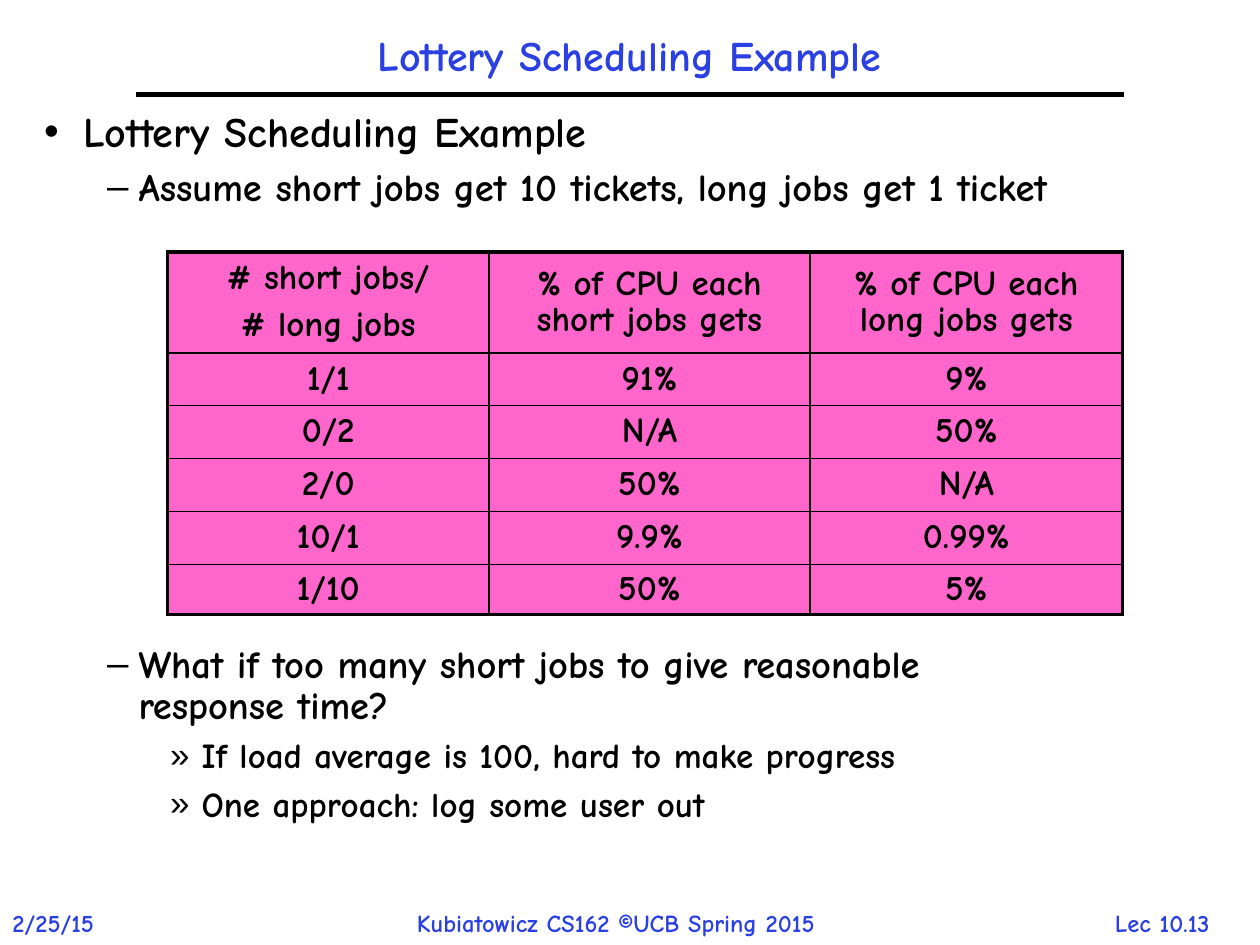
from copy import deepcopy

from pptx import Presentation
from pptx.dml.color import RGBColor
from pptx.enum import shapes, text
from pptx.oxml.ns import qn
from pptx.oxml.xmlchemy import OxmlElement
from pptx.util import Inches, Pt

FONT = "Comic Neue"
BLUE = RGBColor(0x2A, 0x40, 0xE2)
BLACK = RGBColor(0, 0, 0)
PINK = RGBColor(0xFF, 0x66, 0xCC)
CENTER = text.PP_ALIGN.CENTER


def add_run(paragraph, words, size, color=BLACK):
    run = paragraph.add_run()
    run.text = words
    run.font.name = FONT
    run.font.size = Pt(size)
    run.font.bold = True
    run.font.color.rgb = color
    return run


def set_border(cell, side, width):
    line = OxmlElement(f"a:{side}")
    line.set("w", str(Pt(width)))
    fill = OxmlElement("a:solidFill")
    color = OxmlElement("a:srgbClr")
    color.set("val", str(BLACK))
    fill.append(color)
    line.append(fill)
    cell._tc.get_or_add_tcPr().append(line)


presentation = Presentation()
presentation.slide_width = Inches(10)
presentation.slide_height = Inches(7.5)
slide = presentation.slides.add_slide(presentation.slide_layouts[1])

# Footer
footers = [
    (8.56, 1.33, "Lec 10.13", CENTER),
    (0, 1, "2/25/15", text.PP_ALIGN.LEFT),
    (3.21, 3.87, "Kubiatowicz CS162 ©UCB Spring 2015", text.PP_ALIGN.LEFT),
]
for left, width, words, alignment in footers:
    box = slide.shapes.add_textbox(Inches(left), Inches(7.16), Inches(width), Inches(0.34))
    box.text_frame.word_wrap = False
    box.text_frame.auto_size = text.MSO_AUTO_SIZE.SHAPE_TO_FIT_TEXT
    paragraph = box.text_frame.paragraphs[0]
    paragraph.alignment = alignment
    add_run(paragraph, words, 14, BLUE)

# Rule under the title
rule = slide.shapes.add_connector(
    shapes.MSO_CONNECTOR.STRAIGHT, Inches(1.08), Inches(0.75), Inches(8.92), Inches(0.75))
rule.line.color.rgb = BLACK
rule.line.width = Pt(3)
rule._element.spPr.append(OxmlElement("a:effectLst"))

# Title
title = slide.shapes.title
title.left, title.top = Inches(1.08), Inches(0.17)
title.width, title.height = Inches(7.83), Inches(0.58)
title.text_frame.auto_size = text.MSO_AUTO_SIZE.NONE
title.text_frame.vertical_anchor = text.MSO_ANCHOR.MIDDLE
paragraph = title.text_frame.paragraphs[0]
paragraph.alignment = CENTER
paragraph.line_spacing = 0.9
add_run(paragraph, "Lottery Scheduling Example", 24, BLUE)

# Bullet list: the second dash leaves room for the table above it
body = slide.placeholders[1]
body.left, body.top = Inches(0.25), Inches(0.83)
body.width, body.height = Inches(9.5), Inches(6.17)
body.text_frame.auto_size = text.MSO_AUTO_SIZE.NONE
level_styles = [("•", 24, 0.31, 0.31), ("–", 22, 0.75, 0.25), ("»", 20, 1.25, 0.25)]
bullets = [
    (0, 7.2, ["Lottery Scheduling Example"]),
    (1, 6.6, ["Assume short jobs get 10 tickets, long jobs get 1 ticket"]),
    (1, 249, ["What if too many short jobs to give reasonable", "response time?"]),
    (2, 6, ["If load average is 100, hard to make progress"]),
    (2, 6, ["One approach: log some user out"]),
]
for index, (level, space, lines) in enumerate(bullets):
    frame = body.text_frame
    paragraph = frame.add_paragraph() if index else frame.paragraphs[0]
    mark, size, margin, hanging = level_styles[level]
    paragraph.level = level
    paragraph.line_spacing = 0.9
    paragraph.space_before = Pt(space)
    properties = paragraph._p.get_or_add_pPr()
    properties.set("marL", str(Inches(margin)))
    properties.set("indent", str(-Inches(hanging)))
    bullet = OxmlElement("a:buChar")
    bullet.set("char", mark)
    properties.append(bullet)
    for number, words in enumerate(lines):
        if number:
            paragraph.add_line_break()
        run = add_run(paragraph, words, size)
    for line_break in paragraph._p.findall(qn("a:br")):
        line_break.append(deepcopy(run._r.rPr))

# Table of CPU shares
rows = [
    ("# short jobs/\n# long jobs", "% of CPU each short jobs gets", "% of CPU each long jobs gets"),
    ("1/1", "91%", "9%"),
    ("0/2", "N/A", "50%"),
    ("2/0", "50%", "N/A"),
    ("10/1", "9.9%", "0.99%"),
    ("1/10", "50%", "5%"),
]
column_widths = [2.55, 2.55, 2.48]
row_heights = [0.8, 0.42, 0.42, 0.42, 0.42, 0.4]
table = slide.shapes.add_table(
    len(rows), len(column_widths), Inches(1.33), Inches(2), Inches(7.58), Inches(2.88)).table
for column, width in zip(table.columns, column_widths):
    column.width = Inches(width)
for row, height in zip(table.rows, row_heights):
    row.height = Inches(height)

for r, values in enumerate(rows):
    for c, value in enumerate(values):
        cell = table.cell(r, c)
        cell.vertical_anchor = text.MSO_ANCHOR.MIDDLE
        for index, words in enumerate(value.split("\n")):
            frame = cell.text_frame
            paragraph = frame.add_paragraph() if index else frame.paragraphs[0]
            paragraph.alignment = CENTER
            paragraph.line_spacing = 0.9
            paragraph.space_before = Pt(6)
            add_run(paragraph, words, 20)
        # Heavy frame outside, thin lines inside
        outer = {"lnL": c == 0, "lnR": c == len(values) - 1,
                 "lnT": r == 0, "lnB": r == len(rows) - 1}
        for side, is_outer in outer.items():
            set_border(cell, side, 2.25 if is_outer else 1)
        cell.fill.solid()
        cell.fill.fore_color.rgb = PINK

presentation.save("out.pptx")
